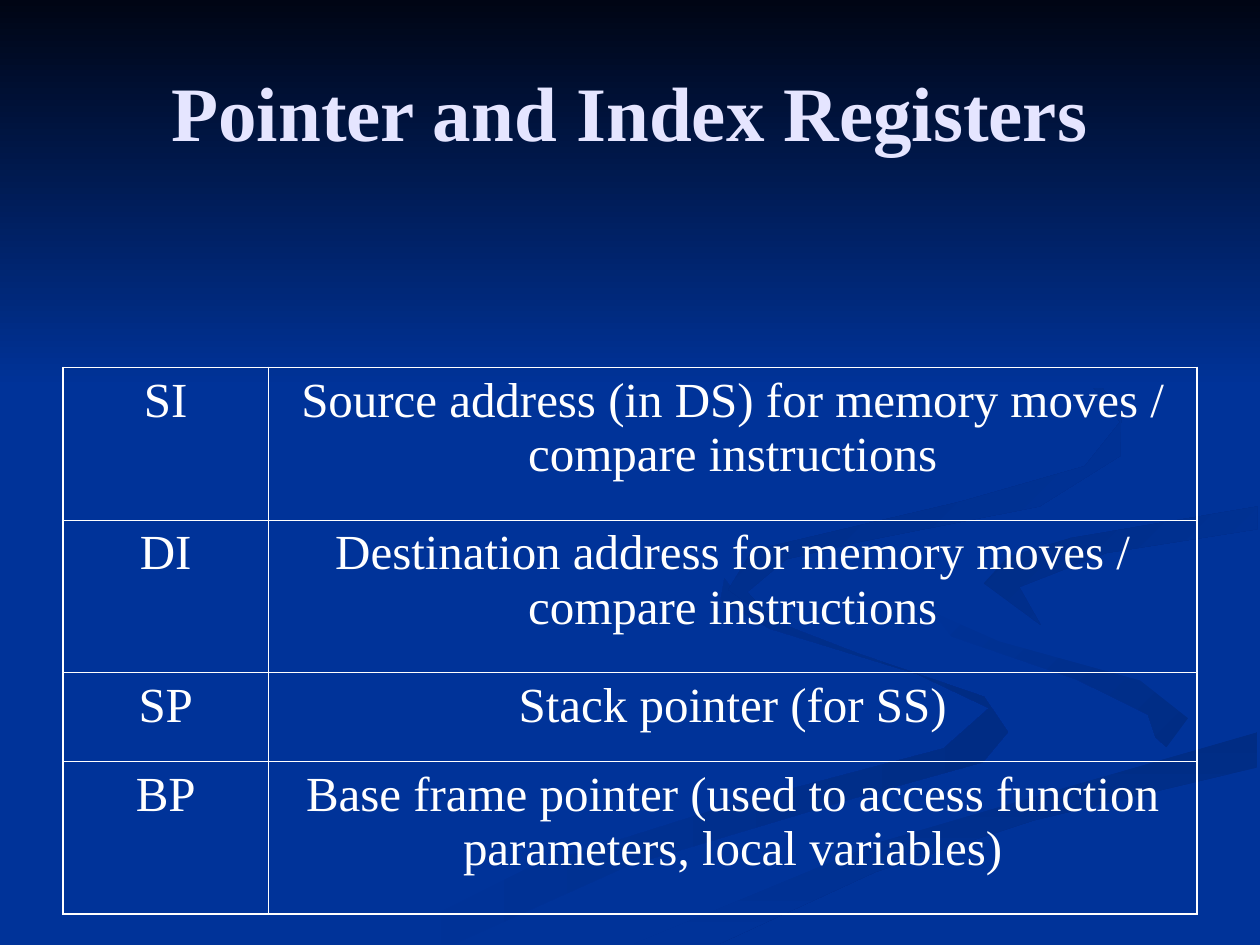
from lxml.etree import SubElement
from pptx import Presentation
from pptx.dml.color import RGBColor
from pptx.enum.shapes import MSO_SHAPE as Preset
from pptx.enum.text import MSO_ANCHOR as Anchor, PP_ALIGN as Align
from pptx.oxml.ns import qn
from pptx.util import Cm, Pt

BLUE = RGBColor(0x00, 0x33, 0x99)
DEEP_BLUE = RGBColor(0x00, 0x2C, 0x84)
NIGHT = RGBColor(0x00, 0x05, 0x14)
LAVENDER = RGBColor(0xE5, 0xE5, 0xFF)
WHITE = RGBColor(0xFF, 0xFF, 0xFF)

FONT = "Times New Roman"
TITLE_FONT = {"name": FONT, "size": Pt(44), "bold": True}
CELL_FONT = {"name": FONT, "size": Pt(28), "bold": False}
OUTER, INNER = Pt(1.08), Pt(0.45)

# Ribbon points are in hundredths of an inch; neighbours share these edges.
RIBBON_UNIT = Cm(2.54) / 100
BEND = [(725, 464), (734, 483), (793, 509), (905, 540), (943, 570), (926, 593)]
SWEEP = [(503, 749), (696, 669), (832, 629), (998, 581)]
HOOK = [(826, 496), (781, 463), (800, 442), (850, 427), (998, 402)]

LEFT_RIBBON = [(781, 553), (682, 519), (594, 485), (575, 459), (572, 476),
               (611, 499), (728, 535), (785, 562), (749, 594), (579, 639),
               (417, 690), (300, 749), (361, 749), (499, 687), (676, 634),
               (780, 605), (800, 581)]
BEND_SHADOW = BEND + [(917, 585), (911, 567), (854, 539), (755, 505)]
SWEEP_SHADOW = SWEEP + [(998, 609), (821, 651), (695, 692), (571, 749)]
MAIN_RIBBON = (BEND + [(780, 634), (619, 684), (477, 749)] + SWEEP
               + [(998, 538), (904, 519)] + HOOK
               + [(998, 387), (788, 422), (732, 446)])
HOOK_SHADOW = HOOK + [(998, 420), (878, 439), (809, 466)]
TOP_RIBBON = [(683, 430), (825, 402), (889, 362), (890, 324), (843, 275),
              (762, 233), (846, 279), (889, 335), (861, 370), (763, 398),
              (597, 437), (578, 468), (622, 500), (593, 470), (624, 444)]

# Outline, first colour, last colour, clockwise gradient angle; back to front.
RIBBONS = [
    (LEFT_RIBBON, BLUE, DEEP_BLUE, 0),
    (BEND_SHADOW, BLUE, DEEP_BLUE, 45),
    (SWEEP_SHADOW, DEEP_BLUE, BLUE, 90),
    (MAIN_RIBBON, BLUE, BLUE, 0),
    (HOOK_SHADOW, DEEP_BLUE, BLUE, 45),
    (TOP_RIBBON, DEEP_BLUE, BLUE, 45),
]

REGISTERS = [
    ("SI", "Source address (in DS) for memory moves / compare instructions"),
    ("DI", "Destination address for memory moves / compare instructions"),
    ("SP", "Stack pointer (for SS)"),
    ("BP", "Base frame pointer (used to access function parameters, "
           "local variables)"),
]
COLUMN_WIDTHS = [Cm(4.14), Cm(18.72)]
TALL, SHORT = Cm(3.07), Cm(1.8)
ROW_HEIGHTS = [TALL, TALL, SHORT, TALL]


def format_font(font, values, color):
    for name, value in values.items():
        setattr(font, name, value)
    font.color.rgb = color


def shade(shape, first, last, angle):
    """Fill with a linear gradient, without outline or shadow."""
    shape.shadow.inherit = False
    shape.line.fill.background()
    shape.fill.gradient()
    shape.fill.gradient_angle = -angle % 360
    stops = shape.fill.gradient_stops
    for position, (stop, color) in enumerate(zip(stops, (first, last))):
        stop.color.rgb = color
        stop.position = position


def add_ribbon(slide, outline, first, last, angle):
    builder = slide.shapes.build_freeform(*outline[0], scale=RIBBON_UNIT)
    builder.add_line_segments(outline[1:], close=True)
    shade(builder.convert_to_shape(), first, last, angle)


def add_night_sky(slide, width):
    sky = slide.shapes.add_shape(Preset.RECTANGLE, 0, 0, width, Cm(7.82))
    shade(sky, NIGHT, BLUE, 90)


def set_title(slide, text):
    title = slide.shapes.title
    title.left, title.top = Cm(1.27), Cm(0.76)
    title.width, title.height = Cm(22.86), Cm(3.18)
    title.text_frame.vertical_anchor = Anchor.MIDDLE
    heading = title.text_frame.paragraphs[0]
    heading.text = text
    heading.alignment = Align.CENTER
    heading.line_spacing = 0.9
    format_font(heading.runs[0].font, TITLE_FONT, LAVENDER)
    # The placeholder starts at the back; lift it above the backdrop.
    slide.shapes._spTree.append(title._element)


def add_borders(cell, widths):
    """Draw white borders; widths are in the order left, right, top, bottom."""
    properties = cell._tc.get_or_add_tcPr()
    for side, width in zip("LRTB", widths):
        border = SubElement(properties, qn(f"a:ln{side}"), w=str(int(width)))
        fill = SubElement(border, qn("a:solidFill"))
        SubElement(fill, qn("a:srgbClr"), val=str(WHITE))


def fill_cell(cell, text):
    cell.fill.background()
    cell.vertical_anchor = Anchor.TOP
    entry = cell.text_frame.paragraphs[0]
    entry.text = text
    entry.alignment = Align.CENTER
    entry.space_before = Pt(7)
    format_font(entry.runs[0].font, CELL_FONT, WHITE)


def add_register_table(slide):
    last_row, last_column = len(REGISTERS) - 1, len(COLUMN_WIDTHS) - 1
    table = slide.shapes.add_table(
        len(REGISTERS), len(COLUMN_WIDTHS), Cm(1.27), Cm(7.41),
        sum(COLUMN_WIDTHS), sum(ROW_HEIGHTS)).table
    table.first_row = table.horz_banding = False
    for column, width in zip(table.columns, COLUMN_WIDTHS):
        column.width = width
    for row, height in zip(table.rows, ROW_HEIGHTS):
        row.height = height
    for r, register in enumerate(REGISTERS):
        for c, text in enumerate(register):
            cell = table.cell(r, c)
            on_edge = (c == 0, c == last_column, r == 0, r == last_row)
            add_borders(cell, [OUTER if edge else INNER for edge in on_edge])
            fill_cell(cell, text)


def main():
    deck = Presentation()
    deck.slide_width, deck.slide_height = Cm(25.4), Cm(19.05)
    slide = deck.slides.add_slide(deck.slide_layouts.get_by_name("Title Only"))
    slide.background.fill.solid()
    slide.background.fill.fore_color.rgb = BLUE
    for ribbon in RIBBONS:
        add_ribbon(slide, *ribbon)
    add_night_sky(slide, deck.slide_width)
    set_title(slide, "Pointer and Index Registers")
    add_register_table(slide)
    deck.save("out.pptx")


if __name__ == "__main__":
    main()
